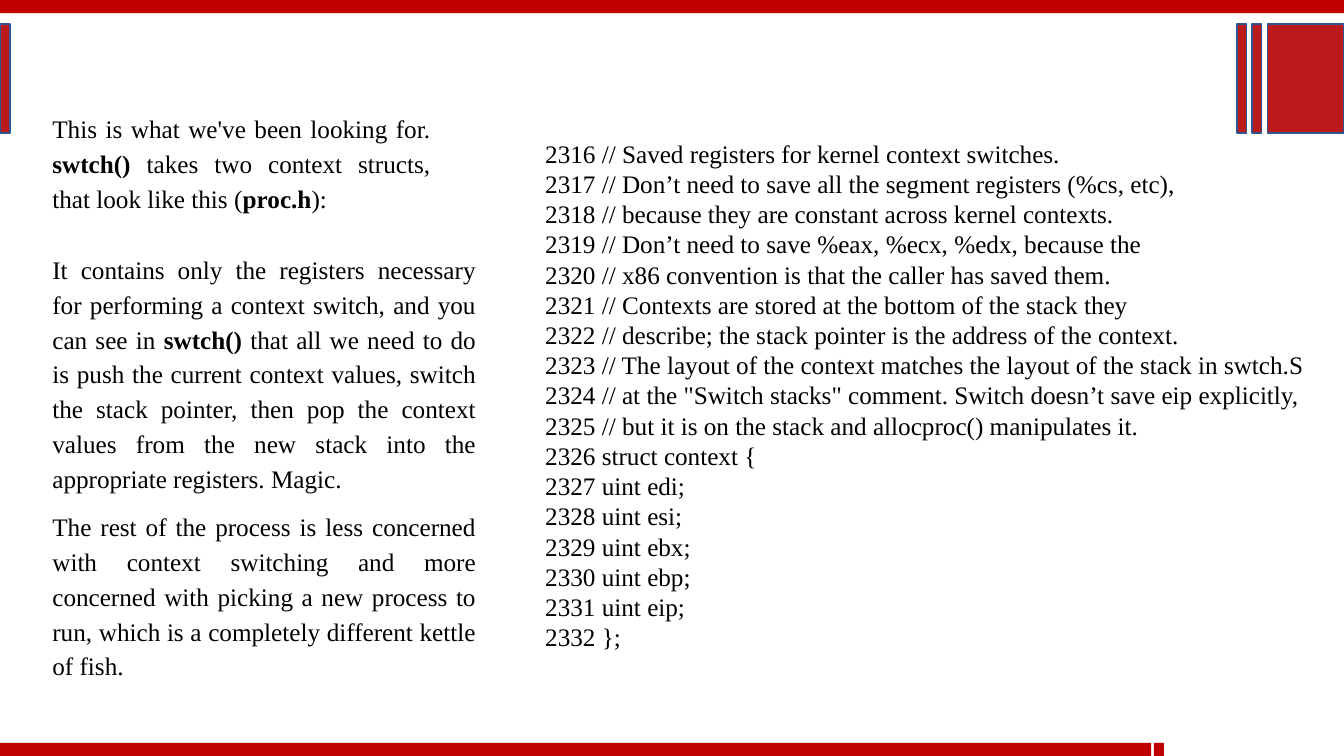
from pptx import Presentation
from pptx import util as u
from pptx.dml import color
from pptx.enum import shapes, text

SLIDE_W, SLIDE_H = 33.87, 19.05
BAND_H = 0.33
BAR_W, BAR_TOP, BAR_H = 0.25, 0.61, 2.74

BODY = {"alignment": text.PP_ALIGN.JUSTIFY, "line_spacing": 1.15, "space_after": u.Pt(10)}
CODE = {"alignment": text.PP_ALIGN.JUSTIFY}

# Each paragraph is a list of runs; every second run is bold
INTRO = [["This is what we've been looking for. ", "swtch()",
          " takes two context structs, that look like this (", "proc.h", "):"]]
EXPLANATION = [
    ["It contains only the registers necessary for performing a context switch, "
     "and you can see in ", "swtch()",
     " that all we need to do is push the current context values, switch the stack "
     "pointer, then pop the context values from the new stack into the appropriate "
     "registers. Magic."],
    ["The rest of the process is less concerned with context switching and more "
     "concerned with picking a new process to run, which is a completely different "
     "kettle of fish."],
]
FIRST_CODE_LINE = 2316
CODE_LINES = [
    "// Saved registers for kernel context switches.",
    "// Don’t need to save all the segment registers (%cs, etc),",
    "// because they are constant across kernel contexts.",
    "// Don’t need to save %eax, %ecx, %edx, because the",
    "// x86 convention is that the caller has saved them.",
    "// Contexts are stored at the bottom of the stack they",
    "// describe; the stack pointer is the address of the context.",
    "// The layout of the context matches the layout of the stack in swtch.S",
    "// at the \"Switch stacks\" comment. Switch doesn’t save eip explicitly,",
    "// but it is on the stack and allocproc() manipulates it.",
    "struct context {",
    "uint edi;",
    "uint esi;",
    "uint ebx;",
    "uint ebp;",
    "uint eip;",
    "};",
]


def rgb(value):
    return color.RGBColor.from_string(value)


class SlideBuilder:
    font = {"name": "Times New Roman", "size": u.Pt(18)}
    ink, band_red, bar_red, outline = "000000", "C00000", "BA1A1A", "325491"

    def __init__(self, slide):
        self.slide = slide

    def rect(self, left, top, width, height, fill):
        block = self.slide.shapes.add_shape(
            shapes.MSO_SHAPE.RECTANGLE, *map(u.Cm, (left, top, width, height)))
        block.shadow.inherit = False
        block.fill.solid()
        block.fill.fore_color.rgb = rgb(fill)
        return block

    def band(self, left, top, width):
        self.rect(left, top, width, BAND_H, self.band_red).line.fill.background()

    def bar(self, left, width=BAR_W):
        block = self.rect(left, BAR_TOP, width, BAR_H, self.bar_red)
        block.line.color.rgb = rgb(self.outline)
        block.line.width = u.Pt(1)

    def text(self, left, top, width, height, paragraphs, layout):
        frame = self.slide.shapes.add_textbox(
            *map(u.Cm, (left, top, width, height))).text_frame
        frame.word_wrap = True
        for i, runs in enumerate(paragraphs):
            paragraph = frame.add_paragraph() if i else frame.paragraphs[0]
            for name, value in layout.items():
                setattr(paragraph, name, value)
            for j, words in enumerate(runs):
                run = paragraph.add_run()
                run.text = words
                for name, value in {**self.font, "bold": j % 2 == 1}.items():
                    setattr(run.font, name, value)
                run.font.color.rgb = rgb(self.ink)


def main():
    deck = Presentation()
    deck.slide_width, deck.slide_height = u.Cm(SLIDE_W), u.Cm(SLIDE_H)
    page = SlideBuilder(deck.slides.add_slide(deck.slide_layouts[6]))

    # Bands along the top and bottom edges
    page.band(0, 0, SLIDE_W)
    page.band(0, SLIDE_H - BAND_H, 29.01)
    page.band(29.08, SLIDE_H - BAND_H, BAR_W)

    # Outlined bars at the left and right edges
    for left in (0, 31.17, 31.55):
        page.bar(left)
    page.bar(31.94, SLIDE_W - 31.94)

    # Introduction, numbered code listing and explanation
    page.text(1.07, 2.62, 10.03, 2.84, INTRO, BODY)
    listing = [[f"{number} {line}"] for number, line in enumerate(CODE_LINES, FIRST_CODE_LINE)]
    page.text(13.49, 3.35, 19.7, 14.1, listing, CODE)
    page.text(1.07, 6.17, 11.18, 11.18, EXPLANATION, BODY)

    deck.save("out.pptx")


if __name__ == "__main__":
    main()
